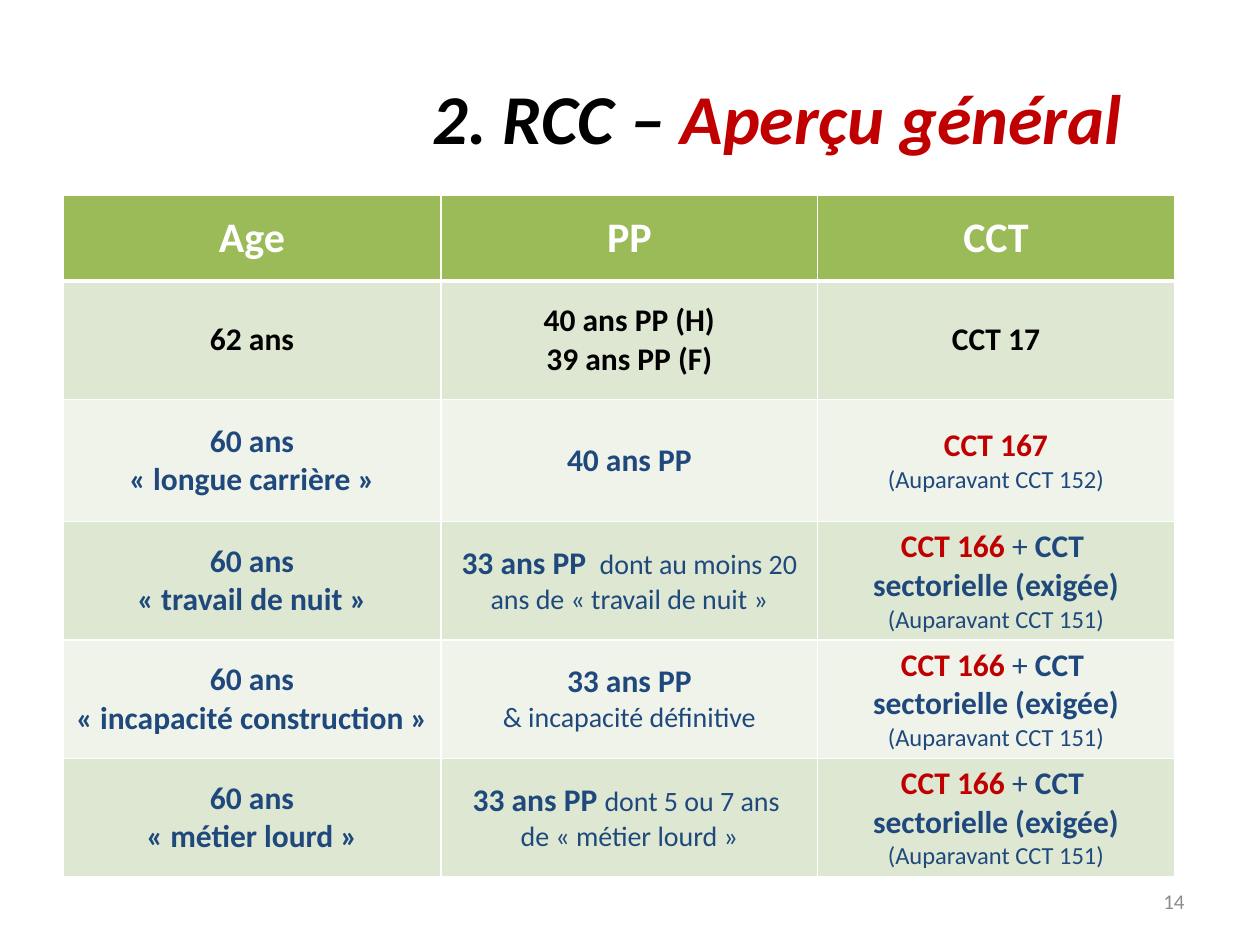
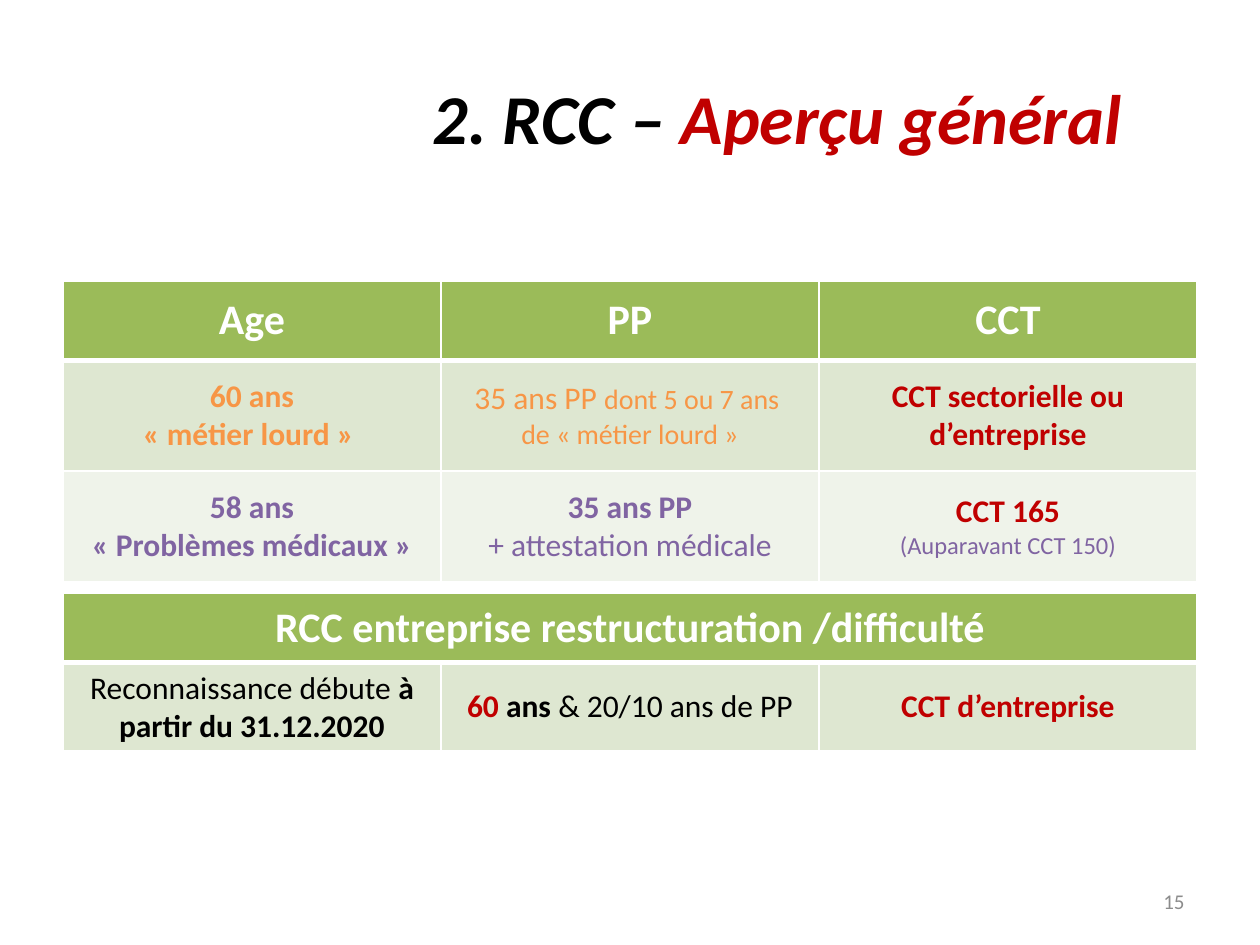
from dataclasses import dataclass

import pptx
import pptx.dml.color
import pptx.enum.text
import pptx.oxml.ns
import pptx.slide
import pptx.table
import pptx.text.text
import pptx.util
from lxml import etree

Inches = pptx.util.Inches
Pt = pptx.util.Pt
ALIGN = pptx.enum.text.PP_ALIGN
MIDDLE = pptx.enum.text.MSO_ANCHOR.MIDDLE

FONT = "Calibri"
COLORS = {
    "black": "000000",
    "white": "FFFFFF",
    "red": "C00000",
    "navy": "1F497D",
    "orange": "F79646",
    "purple": "8064A2",
    "gray": "8C8C8C",
    "header": "9BBB59",
    "band_dark": "DEE7D1",
    "band_light": "EFF3EA",
}


@dataclass(frozen=True)
class Span:
    text: str
    color: str = "navy"
    size: int = 18
    bold: bool = True
    italic: bool = False


Paragraphs = list[list[Span]]


@dataclass(frozen=True)
class Grid:
    top: float
    widths: list[float]
    heights: list[float]
    header: list[str]
    rows: list[list[Paragraphs]]


def rgb(name: str) -> pptx.dml.color.RGBColor:
    return pptx.dml.color.RGBColor.from_string(COLORS[name])


def write(frame: pptx.text.text.TextFrame, paragraphs: Paragraphs, align: ALIGN) -> None:
    for index, spans in enumerate(paragraphs):
        para = frame.paragraphs[0] if index == 0 else frame.add_paragraph()
        para.alignment = align
        for span in spans:
            run = para.add_run()
            run.text = span.text
            formats = {"name": FONT, "size": Pt(span.size), "bold": span.bold, "italic": span.italic}
            for attribute, value in formats.items():
                setattr(run.font, attribute, value)
            run.font.color.rgb = rgb(span.color)


def add_text(page: pptx.slide.Slide, place: tuple[float, ...], spans: list[Span]) -> None:
    box = page.shapes.add_textbox(*(Inches(length) for length in place))
    for attribute, value in {"word_wrap": True, "vertical_anchor": MIDDLE}.items():
        setattr(box.text_frame, attribute, value)
    write(box.text_frame, [spans], ALIGN.RIGHT)


def add_borders(cell: pptx.table._Cell, row: int) -> None:
    properties = cell._tc.get_or_add_tcPr()
    points = {"lnL": 1, "lnR": 1, "lnT": 3 if row == 1 else 1, "lnB": 3 if row == 0 else 1}
    for tag, width in points.items():
        line = etree.SubElement(properties, pptx.oxml.ns.qn(f"a:{tag}"), w=str(Pt(width)))
        fill = etree.SubElement(line, pptx.oxml.ns.qn("a:solidFill"))
        etree.SubElement(fill, pptx.oxml.ns.qn("a:srgbClr"), val=COLORS["white"])


def add_grid(page: pptx.slide.Slide, grid: Grid) -> None:
    header = [[[Span(title, "white", 24)]] for title in grid.header]
    content = [header, *grid.rows]
    table = page.shapes.add_table(
        len(content), len(grid.widths), Inches(0.5), Inches(grid.top),
        Inches(sum(grid.widths)), Inches(sum(grid.heights)),
    ).table
    for column, width in zip(table.columns, grid.widths):
        column.width = Inches(width)
    for row, height in zip(table.rows, grid.heights):
        row.height = Inches(height)
    for row in range(len(content)):
        band = "header" if row == 0 else "band_dark" if row % 2 else "band_light"
        for column in range(len(grid.widths)):
            cell = table.cell(row, column)
            add_borders(cell, row)
            cell.fill.solid()
            cell.fill.fore_color.rgb = rgb(band)
            cell.vertical_anchor = MIDDLE
    if len(header) == 1:
        table.cell(0, 0).merge(table.cell(0, len(grid.widths) - 1))
    for row, cells in enumerate(content):
        for column, paragraphs in enumerate(cells):
            write(table.cell(row, column).text_frame, paragraphs, ALIGN.CENTER)


def lines(*texts: str, color: str = "navy") -> Paragraphs:
    return [[Span(text, color)] for text in texts]


def agreement(number: int, former: int, color: str = "navy") -> Paragraphs:
    return [[Span(f"CCT {number}", "red")], [formerly(former, color)]]


def formerly(number: int, color: str = "navy") -> Span:
    return Span(f"(Auparavant CCT {number})", color, 14, False)


def sector_agreement() -> Paragraphs:
    return [
        [Span("CCT 166", "red"), Span(" + ", bold=False), Span("CCT ")],
        [Span("sectorielle (exigée)")],
        [formerly(151)],
    ]


def heavy_work(career: Span) -> Paragraphs:
    return [
        [career, Span("dont 5 ou 7 ans ", career.color, 16, False)],
        [Span("de « métier lourd »", career.color, 16, False)],
    ]


HEADER = ["Age", "PP", "CCT"]
EQUAL_WIDTHS = [3.0] * 3

GENERAL = Grid(
    1.55, [3, 2.99, 2.83], [0.68, 0.94, 0.97, 0.94, 0.94, 0.94], HEADER,
    [
        [
            lines("62 ans", color="black"),
            lines("40 ans PP (H)", "39 ans PP (F)", color="black"),
            lines("CCT 17", color="black"),
        ],
        [lines("60 ans", "« longue carrière »"), lines("40 ans PP"), agreement(167, 152)],
        [
            lines("60 ans", "« travail de nuit »"),
            [[
                Span("33 ans PP "),
                Span(" dont au moins 20 ans de « travail de nuit »", size=16, bold=False),
            ]],
            sector_agreement(),
        ],
        [
            lines("60 ans", "« incapacité construction »"),
            [[Span("33 ans PP")], [Span("& incapacité définitive", size=16, bold=False)]],
            sector_agreement(),
        ],
        [
            lines("60 ans", "« métier lourd »"),
            heavy_work(Span("33 ans PP ")),
            sector_agreement(),
        ],
    ],
)

SPECIAL = Grid(
    2.23, EQUAL_WIDTHS, [0.63, 0.88, 0.88], HEADER,
    [
        [
            lines("60 ans", "« métier lourd » ", color="orange"),
            heavy_work(Span("35 ans PP ", "orange", bold=False)),
            lines("CCT sectorielle ou d’entreprise", color="red"),
        ],
        [
            lines("58 ans", "« Problèmes médicaux »", color="purple"),
            [[Span("35 ans PP", "purple")], [Span("+ attestation médicale", "purple", bold=False)]],
            agreement(165, 150, "purple"),
        ],
    ],
)

RESTRUCTURING = Grid(
    4.71, EQUAL_WIDTHS, [0.55, 0.7], ["RCC entreprise restructuration /difficulté"],
    [
        [
            [[
                Span("Reconnaissance débute ", "black", bold=False),
                Span("à partir du 31.12.2020", "black"),
            ]],
            [[
                Span("60", "red"),
                Span(" ans ", "black"),
                Span("& 20/10 ans de PP", "black", bold=False),
            ]],
            lines("CCT d’entreprise", color="red"),
        ],
    ],
)

TITLE = [
    Span("2. RCC – ", "black", 40, italic=True),
    Span("Aperçu général", "red", 40, italic=True),
]
PAGES = {14: [GENERAL], 15: [SPECIAL, RESTRUCTURING]}


def main() -> None:
    deck = pptx.Presentation()
    deck.slide_width, deck.slide_height = Inches(10), Inches(7.5)
    for number, grids in PAGES.items():
        page = deck.slides.add_slide(deck.slide_layouts[6])
        add_text(page, (7.17, 6.95, 2.33, 0.4), [Span(str(number), "gray", 12, False)])
        add_text(page, (0, 0.3, 9, 1.25), TITLE)
        for grid in grids:
            add_grid(page, grid)
    deck.save("out.pptx")


if __name__ == "__main__":
    main()
